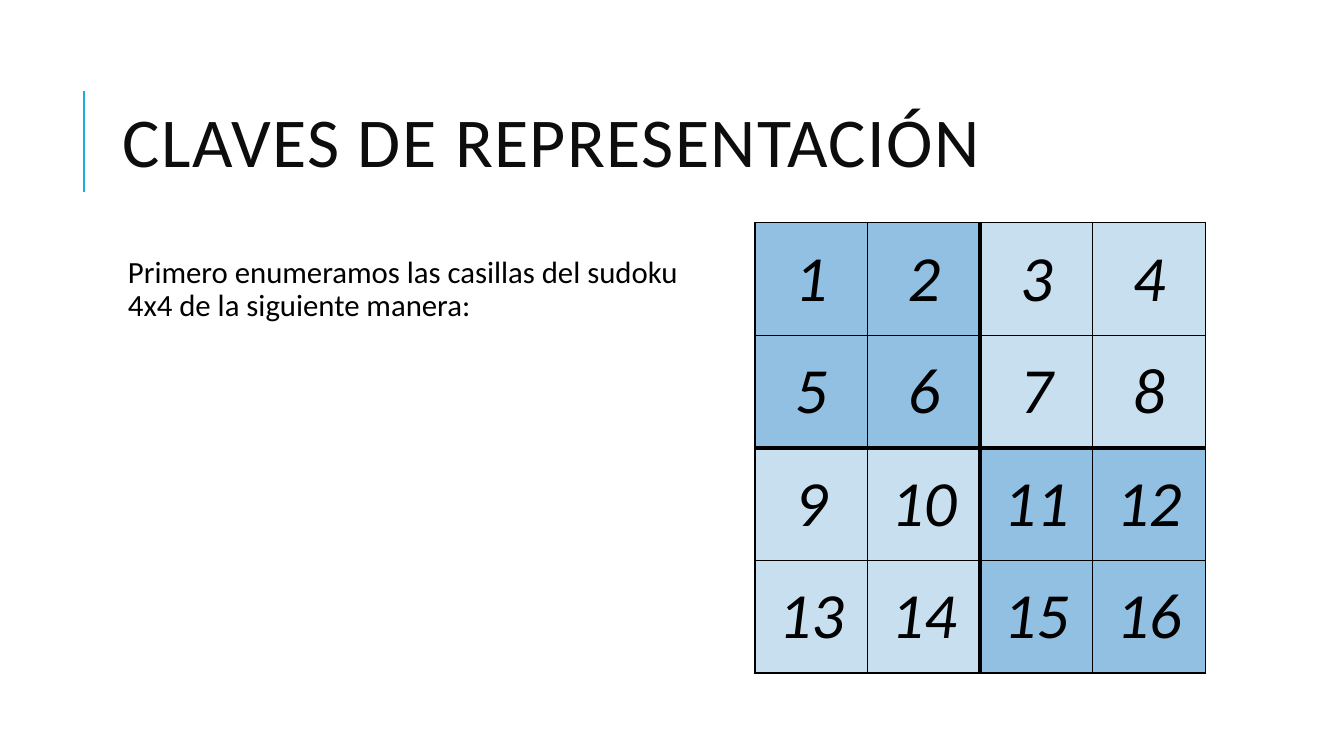
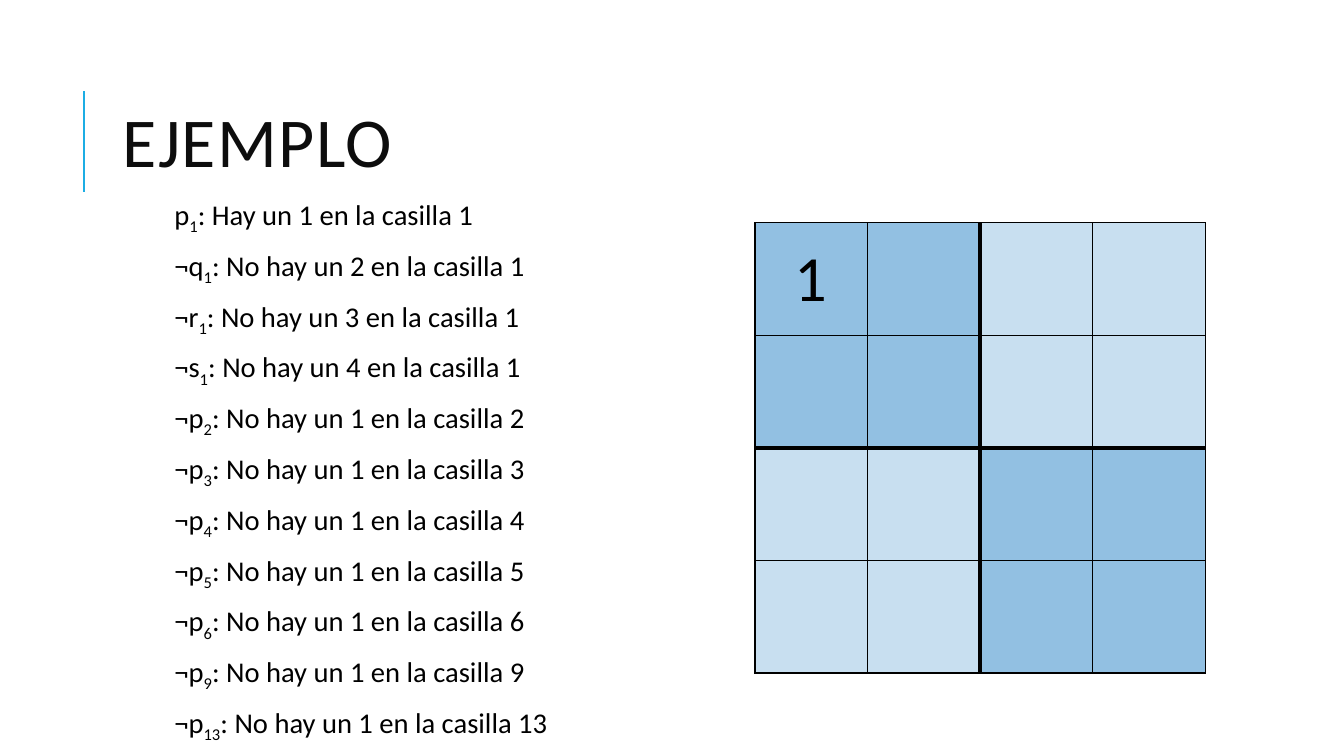
from dataclasses import dataclass
from typing import Any

from lxml import etree
from pptx import Presentation
from pptx.dml.color import RGBColor
from pptx.enum.shapes import MSO_CONNECTOR
from pptx.enum.text import MSO_ANCHOR, PP_ALIGN
from pptx.oxml.ns import qn
from pptx.slide import Slide
from pptx.util import Inches, Pt

LINE = MSO_CONNECTOR.STRAIGHT
TOP, MID = MSO_ANCHOR.TOP, MSO_ANCHOR.MIDDLE
CENTER = PP_ALIGN.CENTER
WIDE, HIGH = Inches(13.33), Inches(7.5)
COLS, ROWS = 160, 90
SIDE = 4
HALF = SIDE // 2


@dataclass(frozen=True)
class Theme:
    font: str = "Calibri"
    accent: str = "1CADE4"
    cell: str = "2683C6"
    head: str = "0D0D0D"
    ink: str = "000000"
    head_size: float = 50
    digit_size: float = 46
    dark: int = 50000
    light: int = 25000
    thin: float = 1
    thick: float = 3


@dataclass(frozen=True)
class Box:
    col: float
    row: float
    wide: float
    high: float

    def place(self) -> tuple[int, int, int, int]:
        return across(self.col), down(self.row), across(self.wide), down(self.high)


@dataclass(frozen=True)
class Piece:
    text: str
    low: bool = False


@dataclass(frozen=True)
class Page:
    title: str
    body: Box
    size: float
    lead: float
    lines: list[list[Piece]]
    digits: list[str]
    slant: bool


THEME = Theme()
HEAD = Box(13.44, 7.68, 127.5, 19.68)
RULE = Box(10, 10.8, 0, 12)
BOARD = Box(89.88, 26.52, 53.6, 53.6)


def across(cols: float) -> int:
    return round(WIDE * cols / COLS)


def down(rows: float) -> int:
    return round(HIGH * rows / ROWS)


def apply(item: Any, form: dict[str, Any]) -> None:
    for name, value in form.items():
        setattr(item, name, value)


def write(para: Any, piece: Piece, size: float, ink: str, slant: bool = False) -> Any:
    run = para.add_run()
    run.text = piece.text
    apply(run.font, {"name": THEME.font, "size": Pt(size), "italic": slant})
    run.font.color.rgb = RGBColor.from_string(ink)
    props = run._r.get_or_add_rPr()
    if piece.low:
        props.set("baseline", "-25000")
    return props


def add_frame(slide: Slide, box: Box, form: dict[str, Any]) -> Any:
    frame = slide.shapes.add_textbox(*box.place()).text_frame
    apply(frame, {"word_wrap": True} | form)
    return frame


def add_head(slide: Slide, title: str) -> None:
    left, top, wide, high = RULE.place()
    rule = slide.shapes.add_connector(LINE, left, top + high, left + wide, top)
    rule.line.color.rgb = RGBColor.from_string(THEME.accent)
    rule.line.width = Pt(1.5)
    etree.SubElement(rule._element.spPr, qn("a:effectLst"))
    para = add_frame(slide, HEAD, {"vertical_anchor": MID}).paragraphs[0]
    para.line_spacing = 0.8
    write(para, Piece(title), THEME.head_size, THEME.head).set("spc", "100")


def add_body(slide: Slide, page: Page) -> None:
    inset = Inches(0.05)
    sides = ("left", "right", "top", "bottom")
    form = {f"margin_{side}": inset for side in sides} | {"vertical_anchor": TOP}
    frame = add_frame(slide, page.body, form)
    for rank, line in enumerate(page.lines):
        para = frame.add_paragraph() if rank else frame.paragraphs[0]
        apply(para, {"line_spacing": page.lead, "space_before": Pt(12), "space_after": Pt(2)})
        para._p.get_or_add_pPr().set("marL", str(Inches(0.1)))
        for piece in line:
            write(para, piece, page.size, THEME.ink)


def add_edge(props: Any, side: str, weight: float) -> None:
    edge = etree.SubElement(props, qn(f"a:ln{side}"), w=str(Pt(weight)))
    fill = etree.SubElement(edge, qn("a:solidFill"))
    etree.SubElement(fill, qn("a:srgbClr"), val=THEME.ink)


def paint(cell: Any, row: int, col: int) -> None:
    props = cell._tc.get_or_add_tcPr()
    edges = {"L": col, "R": col + 1, "T": row, "B": row + 1}
    for side, spot in edges.items():
        add_edge(props, side, THEME.thick if spot == HALF else THEME.thin)
    cell.fill.solid()
    cell.fill.fore_color.rgb = RGBColor.from_string(THEME.cell)
    same = row // HALF == col // HALF
    tint = props.find(f"{qn('a:solidFill')}/{qn('a:srgbClr')}")
    etree.SubElement(tint, qn("a:alpha"), val=str(THEME.dark if same else THEME.light))


def add_board(slide: Slide, digits: list[str], slant: bool) -> None:
    table = slide.shapes.add_table(SIDE, SIDE, *BOARD.place()).table
    apply(table, {"first_row": False, "horz_banding": False})
    for col in table.columns:
        col.width = across(BOARD.wide / SIDE)
    for row in table.rows:
        row.height = down(BOARD.high / SIDE)
    form = {"vertical_anchor": MID, "margin_left": Inches(0.12),
            "margin_right": Inches(0.12), "margin_top": 0, "margin_bottom": 0}
    for spot in range(SIDE * SIDE):
        row, col = divmod(spot, SIDE)
        cell = table.cell(row, col)
        apply(cell, form)
        paint(cell, row, col)
        if spot < len(digits):
            para = cell.text_frame.paragraphs[0]
            para.alignment = CENTER
            write(para, Piece(digits[spot]), THEME.digit_size, THEME.ink, slant)


def claim(name: str, spot: int) -> list[Piece]:
    digit = "pqrs".index(name) + 1
    true = digit == spot == 1
    sign, verb = ("", "Hay") if true else ("¬", "No hay")
    return [Piece(sign + name), Piece(str(spot), True),
            Piece(f": {verb} un {digit} en la casilla {spot}")]


CLAIMS = [(name, 1) for name in "pqrs"] + [("p", spot) for spot in (2, 3, 4, 5, 6, 9, 13)]
PAGES = [
    Page("CLAVES DE REPRESENTACIÓN", Box(13.44, 30, 68.9, 52.8), 22, 0.9,
         [[Piece("Primero enumeramos las casillas del sudoku 4x4 de la siguiente manera:")]],
         [str(spot + 1) for spot in range(SIDE * SIDE)], True),
    Page("EJEMPLO", Box(18.96, 23.28, 62.3, 61.1), 20.4, 0.8,
         [claim(name, spot) for name, spot in CLAIMS], ["1"], False),
]


def main() -> None:
    deck = Presentation()
    apply(deck, {"slide_width": WIDE, "slide_height": HIGH})
    for page in PAGES:
        slide = deck.slides.add_slide(deck.slide_layouts[6])
        add_head(slide, page.title)
        add_body(slide, page)
        add_board(slide, page.digits, page.slant)
    deck.save("out.pptx")


if __name__ == "__main__":
    main()
